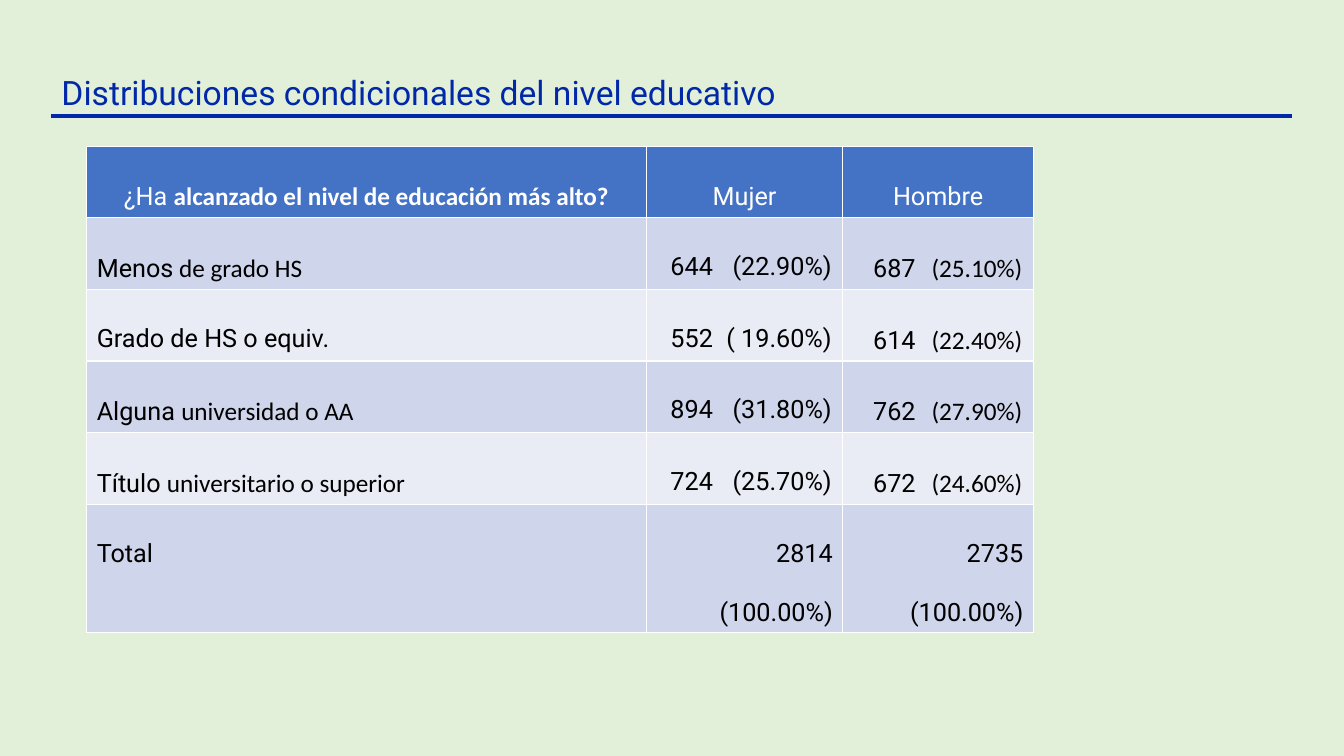
"""Build a slide with a table of education levels by sex."""
from lxml import etree
from pptx import Presentation
from pptx.dml.color import RGBColor
from pptx.enum.shapes import MSO_CONNECTOR
from pptx.enum.text import MSO_ANCHOR, PP_ALIGN
from pptx.oxml.ns import qn
from pptx.util import Inches, Pt

LEFT, CENTER, RIGHT = PP_ALIGN.LEFT, PP_ALIGN.CENTER, PP_ALIGN.RIGHT
TOP, MIDDLE = MSO_ANCHOR.TOP, MSO_ANCHOR.MIDDLE
STRAIGHT = MSO_CONNECTOR.STRAIGHT
COLORS = {"back": "E2F0D9", "navy": "0028A8", "head": "4472C4",
          "odd": "CFD5EA", "even": "E9EBF5", "white": "FFFFFF", "black": "000000"}
MAIN, ALT = "Roboto", "Calibri"
PAD = 0.1
WIDTHS = [5.55, 1.95, 1.89]
INDENTS = [PAD, 0.24, 0.3]
HEADS = [("¿Ha ", "alcanzado el nivel de educación más alto?"), ("Mujer",), ("Hombre",)]
LEVELS = [
    (("Menos", " de grado HS"), ("644\t(22.90%)",), ("687\t", "(25.10%)")),
    (("Grado de HS o equiv.",), ("552\t( 19.60%)",), ("614\t", "(22.40%)")),
    (("Alguna ", "universidad o AA"), ("894\t(31.80%)",), ("762\t", "(27.90%)")),
    (("Título ", "universitario o superior"), ("724\t(25.70%)",), ("672\t", "(24.60%)")),
]
TOTALS = ["Total", "2814\v(100.00%)", "2735\v(100.00%)"]


def color(name):
    return RGBColor.from_string(COLORS[name])


def style(run, size, face, tint, bold=False):
    font = run.font
    font.size, font.name, font.bold = Pt(size), face, bold
    font.color.rgb = color(tint)


deck = Presentation()
deck.slide_width, deck.slide_height = Inches(13.33), Inches(7.5)
slide = deck.slides.add_slide(deck.slide_layouts[5])
slide.background.fill.solid()
slide.background.fill.fore_color.rgb = color("back")

title = slide.shapes.title
title.left, title.top = Inches(0.51), Inches(0.66)
title.width, title.height = Inches(8.19), Inches(0.5)
title.text_frame.text = "Distribuciones condicionales del nivel educativo"
title.text_frame.vertical_anchor = TOP
para = title.text_frame.paragraphs[0]
para.alignment, para.line_spacing = LEFT, 1.0
style(para.runs[0], 24, MAIN, "navy")

rule = slide.shapes.add_connector(STRAIGHT, Inches(0.51), Inches(1.15),
                                  Inches(12.81), Inches(1.15))
rule.line.color.rgb, rule.line.width = color("navy"), Pt(3)
etree.SubElement(rule._element.spPr, qn("a:effectLst"))

rows = [HEADS] + LEVELS + [[(text,) for text in TOTALS]]
table = slide.shapes.add_table(len(rows), len(WIDTHS), Inches(0.86), Inches(1.45),
                               Inches(sum(WIDTHS)), Inches(0.41 * len(rows))).table
for col, width in zip(table.columns, WIDTHS):
    col.width = Inches(width)

for r, row in enumerate(rows):
    head, total = r == 0, r == len(rows) - 1
    for c, parts in enumerate(row):
        cell = table.cell(r, c)
        cell.fill.solid()
        cell.fill.fore_color.rgb = color("head" if head else "odd" if r % 2 else "even")
        cell.vertical_anchor = MIDDLE if head and c else TOP
        para = cell.text_frame.paragraphs[0]
        para.line_spacing = 2.0
        para.alignment = CENTER if head else RIGHT if total and c else LEFT
        if c and not head and not total:
            cell.margin_left = Inches(INDENTS[c])
            stop = Inches(WIDTHS[c] - INDENTS[c] - PAD - 0.01)
            tabs = etree.SubElement(para._p.get_or_add_pPr(), qn("a:tabLst"))
            etree.SubElement(tabs, qn("a:tab"), pos=str(int(stop)), algn="r")
        if total:
            para.text = parts[0]
        else:
            for part in parts:
                para.add_run().text = part
        for i, run in enumerate(para.runs):
            alt = i > 0 and not total
            style(run, 18, ALT if alt else MAIN, "white" if head else "black", head and alt)

deck.save("out.pptx")
